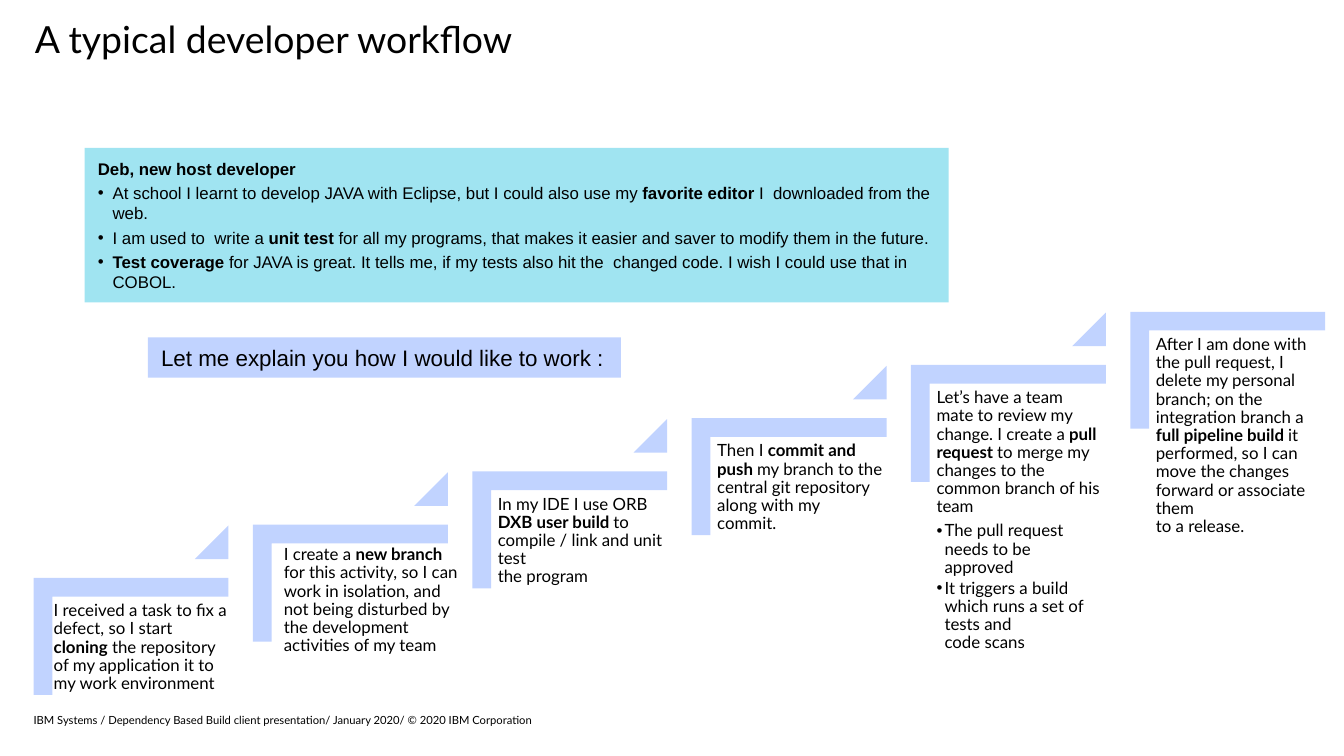
from lxml import etree
from pptx import Presentation
from pptx.dml.color import RGBColor
from pptx.enum.shapes import MSO_SHAPE
from pptx.enum.text import MSO_ANCHOR, MSO_AUTO_SIZE, PP_ALIGN
from pptx.oxml.ns import qn
from pptx.util import Inches, Pt

RECTANGLE, CORNER, TRIANGLE = MSO_SHAPE.RECTANGLE, MSO_SHAPE.CORNER, MSO_SHAPE.ISOSCELES_TRIANGLE
TOP, MIDDLE = MSO_ANCHOR.TOP, MSO_ANCHOR.MIDDLE
LEFT = PP_ALIGN.LEFT

BLACK, CYAN, PERIWINKLE = "000000", "A0E4F1", "C1D3FF"
SLIDE_WIDTH = 10
SLIDE_HEIGHT = SLIDE_WIDTH * 9 / 16

# Text between ** marks is bold; a paragraph starting with • is a list item.
TITLE = "A typical developer workflow"
PERSONA = [
    "**Deb, new host developer**",
    "•At school I learnt to develop JAVA with Eclipse, but I could also use my "
    "**favorite editor **I  downloaded from the web.",
    "•I am used to  write a** unit test **for all my programs, that makes it easier "
    "and saver to modify them in the future.",
    "•**Test coverage** for JAVA is great. It tells me, if my tests also hit the  "
    "changed code. I wish I could use that in COBOL.",
]
LEAD_IN = "Let me explain you how I would like to work :"
FOOTER = ("IBM Systems / Dependency Based Build client presentation/ January 2020/ "
          "© 2020 IBM Corporation")

# Each step: text offset from the step's left and top, text width, paragraphs
STEPS = [
    (0.11, 0.14, 1.37, [
        "I received a task to fix a defect, so I start **cloning** the repository "
        "of my application it to my work environment"]),
    (0.19, 0.12, 1.43, [
        "I create a **new branch **for this activity, so I can work in isolation, "
        "and not being disturbed by the development activities of my team"]),
    (0.15, 0.14, 1.31, [
        "In my IDE I use ORB **DXB user build **to compile / link and unit test \nthe program"]),
    (0.15, 0.14, 1.31, [
        "Then I **commit and push **my branch to the central git repository along with my commit."]),
    (0.15, 0.14, 1.31, [
        "Let’s have a team mate to review my change. I create a **pull request **to merge "
        "my changes to the common branch of his team",
        "•The pull request needs to be approved",
        "•It triggers a build which runs a set of tests and \ncode scans"]),
    (0.15, 0.14, 1.31, [
        "After I am done with the pull request, I delete my personal branch; on the "
        "integration branch a **full pipeline build **it performed, so I can move the "
        "changes forward or associate them \nto a release."]),
]
FIRST_LEFT, LAST_LEFT = 0.25, 8.41
FIRST_TOP, LAST_TOP = 4.30, 2.32
STEP_WIDTH, STEP_HEIGHT, BAR_SHARE = 1.45, 0.87, 0.16
TEXT_HEIGHT = 1.14
TRIANGLE_SIZE, TRIANGLE_RISE = 0.25, 0.39


def inches(*lengths):
    return [Inches(length) for length in lengths]


def color(hex_string):
    return RGBColor.from_string(hex_string)


def add_bullet(paragraph, indent):
    properties = paragraph._p.get_or_add_pPr()
    properties.set("marL", str(Inches(indent)))
    properties.set("indent", str(-Inches(indent)))
    etree.SubElement(properties, qn("a:buFont")).set("typeface", "Arial")
    etree.SubElement(properties, qn("a:buChar")).set("char", "•")


def write(shape, paragraphs, size, font="Lato", anchor=TOP, margins=(0.1, 0.05), wrap=True,
          line_spacing=None, space_after=0, bullet_space=0, indent=0, bullet_level=0):
    """Fill a shape with paragraphs written in the ** and • notation."""
    frame = shape.text_frame
    frame.word_wrap = wrap
    frame.vertical_anchor = anchor
    frame.margin_left = frame.margin_right = Inches(margins[0])
    frame.margin_top = frame.margin_bottom = Inches(margins[1])
    for index, text in enumerate(paragraphs):
        paragraph = frame.add_paragraph() if index else frame.paragraphs[0]
        is_bullet = text.startswith("•")
        if is_bullet:
            paragraph.level = bullet_level
            add_bullet(paragraph, indent)
        paragraph.alignment = LEFT
        paragraph.line_spacing = line_spacing
        paragraph.space_before = Pt(0)
        paragraph.space_after = Pt(bullet_space if is_bullet else space_after)
        for part, piece in enumerate(text.removeprefix("•").split("**")):
            for line_number, line in enumerate(piece.split("\n")):
                if line_number:
                    paragraph.add_line_break()
                if line:
                    run = paragraph.add_run()
                    run.text = line
                    run.font.name = font
                    run.font.size = Pt(size)
                    run.font.bold = part % 2 == 1
                    run.font.color.rgb = color(BLACK)


def add_filled(shapes, kind, box, fill, adjustments=(), rotation=0):
    shape = shapes.add_shape(kind, *inches(*box))
    shape.shadow.inherit = False
    shape.fill.solid()
    shape.fill.fore_color.rgb = color(fill)
    shape.line.fill.background()
    shape.rotation = rotation
    for index, value in enumerate(adjustments):
        shape.adjustments[index] = value
    return shape


def add_step(shapes, left, top, step, has_triangle):
    text_left, text_top, text_width, paragraphs = step
    # The corner is turned a quarter, so its frame is laid out with sides swapped.
    shift = (STEP_WIDTH - STEP_HEIGHT) / 2
    add_filled(shapes, CORNER, (left + shift, top - shift, STEP_HEIGHT, STEP_WIDTH),
               PERIWINKLE, (BAR_SHARE, BAR_SHARE), 90)
    text_box = shapes.add_textbox(
        *inches(left + text_left, top + text_top, text_width, TEXT_HEIGHT))
    write(text_box, paragraphs, 9, margins=(0.04, 0.04), line_spacing=0.9,
          space_after=3.15, bullet_space=1.35, indent=0.06, bullet_level=1)
    if has_triangle:
        add_filled(shapes, TRIANGLE,
                   (left + STEP_WIDTH - TRIANGLE_SIZE, top - TRIANGLE_RISE,
                    TRIANGLE_SIZE, TRIANGLE_SIZE), PERIWINKLE, (1,))


def main():
    presentation = Presentation()
    presentation.slide_width, presentation.slide_height = inches(SLIDE_WIDTH, SLIDE_HEIGHT)
    slide = presentation.slides.add_slide(presentation.slide_layouts[5])
    shapes = slide.shapes

    persona = add_filled(shapes, RECTANGLE, (0.63, 1.1, 6.43, 1.15), CYAN)
    write(persona, PERSONA, 9, "Arial", MIDDLE, space_after=2.2, bullet_space=2.2, indent=0.11)

    title = shapes.title
    title.left, title.top, title.width, title.height = inches(0.26, 0.16, 9.48, 0.85)
    write(title, [TITLE], 20, margins=(0, 0), line_spacing=0.9)

    staircase = shapes.add_group_shape().shapes
    last = len(STEPS) - 1
    for index, step in enumerate(STEPS):
        left = FIRST_LEFT + index * (LAST_LEFT - FIRST_LEFT) / last
        top = FIRST_TOP + index * (LAST_TOP - FIRST_TOP) / last
        add_step(staircase, left, top, step, has_triangle=index < last)

    footer = shapes.add_textbox(*inches(0.25, 5.28, 7, 0.15))
    write(footer, [FOOTER], 6, anchor=MIDDLE, margins=(0, 0))

    lead_in = add_filled(shapes, RECTANGLE, (1.1, 2.51, 3.52, 0.3), PERIWINKLE)
    write(lead_in, [LEAD_IN], 12, "Arial", wrap=False, space_after=2.2)
    lead_in.text_frame.auto_size = MSO_AUTO_SIZE.SHAPE_TO_FIT_TEXT

    presentation.save("out.pptx")


if __name__ == "__main__":
    main()
